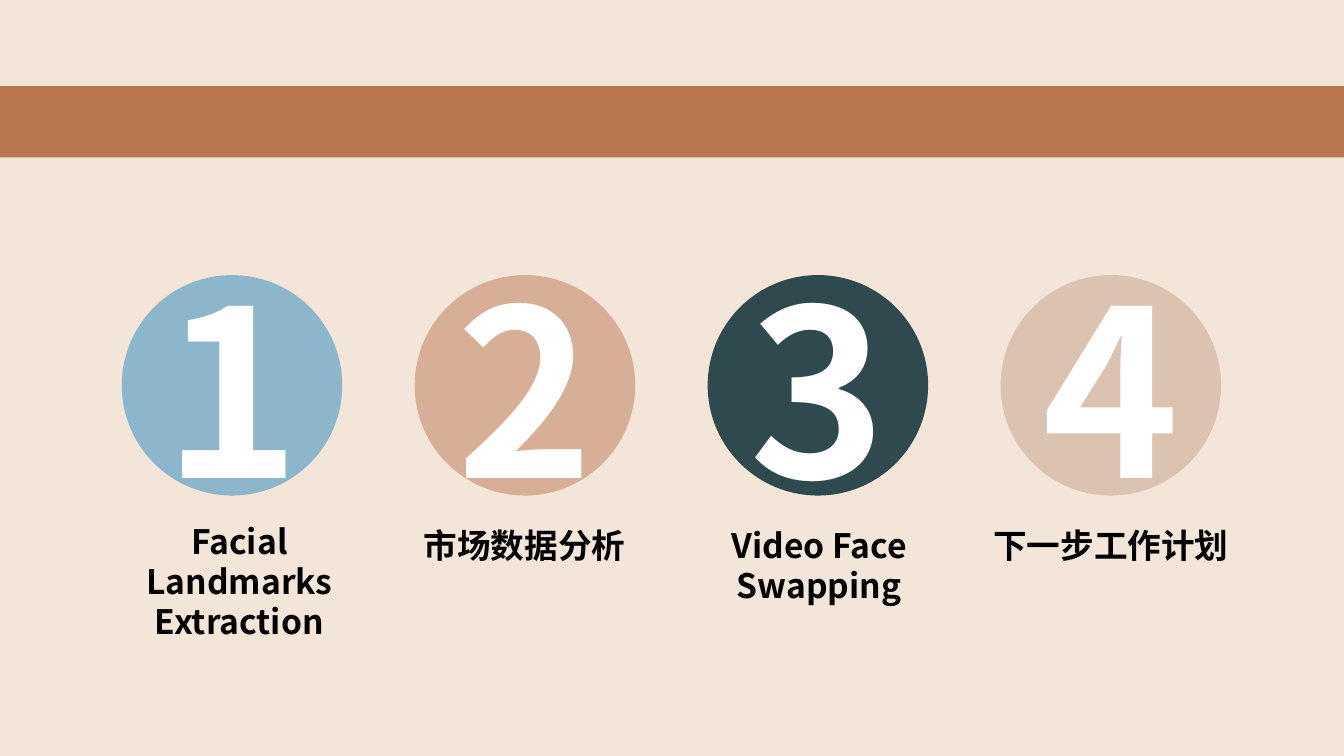
from lxml import etree
from pptx import Presentation
from pptx import util as u
from pptx.dml.color import RGBColor
from pptx.enum import shapes, text
from pptx.oxml.ns import qn

PX = 9525  # EMU per px, 96 px to the inch
FONT = "Noto Sans CJK SC"
CREAM = RGBColor(0xF3, 0xE5, 0xD8)
BLUE = RGBColor(0x8B, 0xB6, 0xCB)
RUST = RGBColor(0xBA, 0x76, 0x4F)
TEAL = RGBColor(0x2E, 0x4A, 0x4E)
SAND = RGBColor(0xC5, 0xA0, 0x86)
WHITE = RGBColor(0xFF, 0xFF, 0xFF)
BLACK = RGBColor(0, 0, 0)

DIAMETER, FIRST_LEFT, PITCH, CIRCLE_TOP = 210, 116, 279, 262

# Circle colour, opacity in percent, label, label place (left, top, width, height), wrap
SECTIONS = [
    (BLUE, 100, "Facial Landmarks Extraction", (82, 491, 292, 126), True),
    (RUST, 48, "市场数据分析", (394, 495, 211, 48), False),
    (TEAL, 100, "Video Face Swapping", (633, 495, 294, 126), True),
    (SAND, 48, "下一步工作计划", (936, 495, 244, 48), False),
]


def lengths(*values):
    return [u.Emu(value * PX) for value in values]


def add_filled(page, kind, place, color, opacity=100):
    shape = page.shapes.add_shape(kind, *lengths(*place))
    shape.shadow.inherit = False
    shape.line.fill.background()
    shape.fill.solid()
    shape.fill.fore_color.rgb = color
    if opacity < 100:
        tint = shape.fill._xPr.find(".//" + qn("a:srgbClr"))
        etree.SubElement(tint, qn("a:alpha"), val=str(opacity * 1000))
    return shape


def write(shape, words, size, color):
    para = shape.text_frame.paragraphs[0]
    para.alignment = text.PP_ALIGN.CENTER
    span = para.add_run()
    span.text = words
    span.font.color.rgb = color
    style = {"name": FONT, "size": u.Pt(size), "bold": True}
    for name, value in style.items():
        setattr(span.font, name, value)
    # East Asian glyphs take their own typeface
    etree.SubElement(span.font._element, qn("a:ea"), typeface=FONT)


def add_number(page, index, color, opacity):
    place = (FIRST_LEFT + index * PITCH, CIRCLE_TOP, DIAMETER, DIAMETER)
    circle = add_filled(page, shapes.MSO_SHAPE.OVAL, place, color, opacity)
    circle.text_frame.vertical_anchor = text.MSO_ANCHOR.MIDDLE
    write(circle, str(index + 1), 166, WHITE)


def add_label(page, words, place, wrap):
    box = page.shapes.add_textbox(*lengths(*place))
    box.text_frame.word_wrap = wrap
    box.text_frame.auto_size = text.MSO_AUTO_SIZE.SHAPE_TO_FIT_TEXT
    write(box, words, 24, BLACK)


def main():
    deck = Presentation()
    deck.slide_width, deck.slide_height = lengths(1280, 720)
    page = deck.slides.add_slide(deck.slide_layouts[6])
    page.background.fill.solid()
    page.background.fill.fore_color.rgb = CREAM

    # Band across the top
    add_filled(page, shapes.MSO_SHAPE.RECTANGLE, (0, 82, 1280, 68), RUST)

    # Numbered sections
    for index, (color, opacity, words, place, wrap) in enumerate(SECTIONS):
        add_number(page, index, color, opacity)
        add_label(page, words, place, wrap)

    deck.save("out.pptx")


if __name__ == "__main__":
    main()
